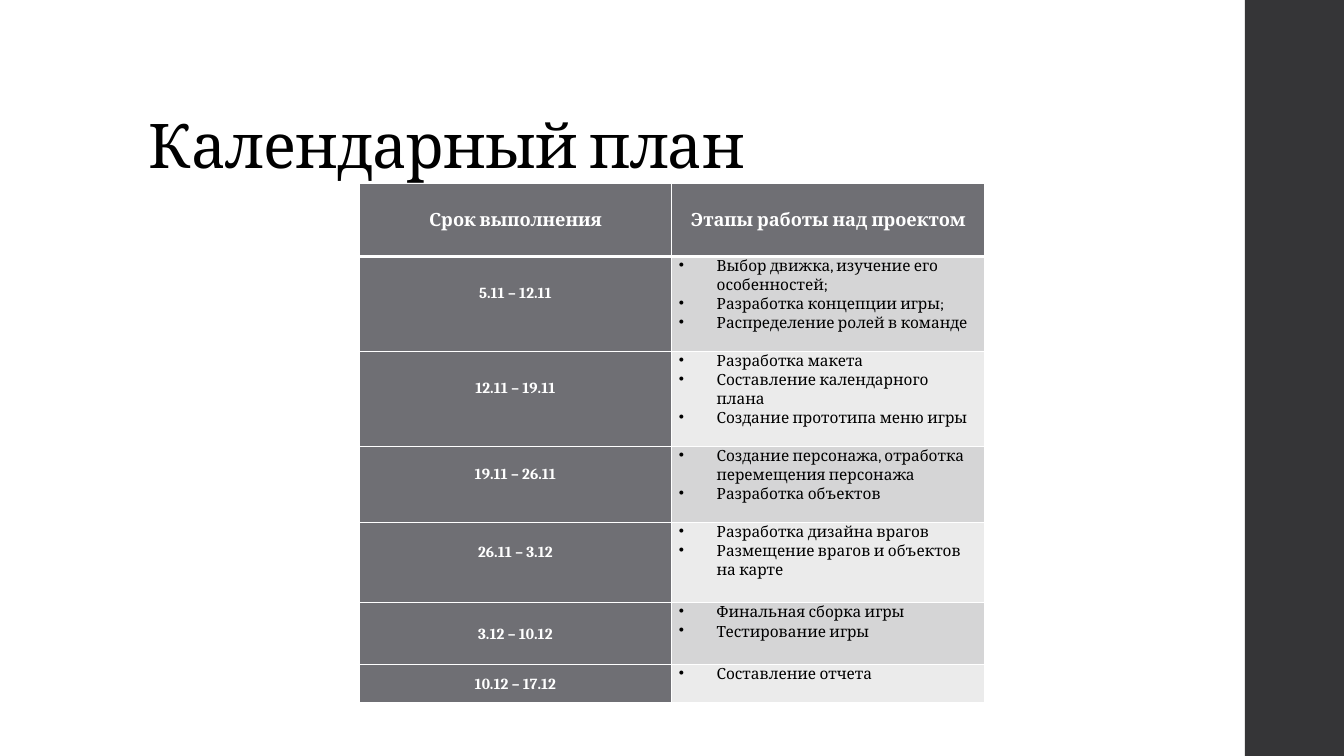
from lxml.etree import SubElement
from pptx import Presentation
from pptx.dml.color import RGBColor
from pptx.enum.shapes import MSO_SHAPE
from pptx.enum.text import MSO_ANCHOR, PP_ALIGN
from pptx.oxml import parse_xml
from pptx.oxml.ns import nsdecls, qn
from pptx.util import Cm, Pt

COLORS = {
    "white": "FFFFFF",
    "black": "000000",
    "sidebar": "353537",
    "header": "6F6F74",
    "odd": "D5D5D6",
    "even": "EBEBEB",
}

HEADINGS = ("Срок выполнения", "Этапы работы над проектом")

STAGES = [
    ("5.11 – 12.11", 2.39, 0.56, [
        "Выбор движка, изучение его особенностей;",
        "Разработка концепции игры;",
        "Распределение ролей в команде",
    ]),
    ("12.11 – 19.11", 2.4, 0.56, [
        "Разработка макета",
        "Составление календарного плана",
        "Создание прототипа меню игры",
    ]),
    ("19.11 – 26.11", 1.92, 0.56, [
        "Создание персонажа, отработка перемещения персонажа",
        "Разработка объектов",
    ]),
    ("26.11 – 3.12", 2.02, 0.56, [
        "Разработка дизайна врагов",
        "Размещение врагов и объектов на карте",
    ]),
    ("3.12 – 10.12", 1.56, 0, ["Финальная сборка игры", "Тестирование игры"]),
    ("10.12 – 17.12", 0.95, 0, ["Составление отчета"]),
]


class SlideBuilder:
    """Holds the style and the current slide, and draws its elements."""

    font = "Cambria"

    def __init__(self, prs):
        self.s = prs.slides.add_slide(prs.slide_layouts[5])

    def color(self, name):
        return RGBColor.from_string(COLORS[name])

    def style(self, obj, values):
        for name, value in values.items():
            setattr(obj, name, value)

    def add_text(self, p, text, size, color, bold=False):
        r = p.add_run()
        r.text = text
        self.style(r.font, {"name": self.font, "size": Pt(size), "bold": bold})
        r.font.color.rgb = self.color(color)
        return r

    def sidebar(self, left, width, height):
        sp = self.s.shapes.add_shape(
            MSO_SHAPE.RECTANGLE, Cm(left), 0, Cm(width), Cm(height))
        sp.shadow.inherit = False
        sp.fill.solid()
        sp.fill.fore_color.rgb = self.color("sidebar")
        sp.line.fill.background()

    def title(self, text, left, top, width, height):
        sp = self.s.shapes.title
        self.style(sp, {"left": Cm(left), "top": Cm(top),
                        "width": Cm(width), "height": Cm(height)})
        tf = sp.text_frame
        self.style(tf, {"vertical_anchor": MSO_ANCHOR.BOTTOM, "word_wrap": True})
        p = tf.paragraphs[0]
        self.style(p, {"alignment": PP_ALIGN.LEFT, "line_spacing": 0.9})
        r = self.add_text(p, text, 44, "black")
        r._r.get_or_add_rPr().set("spc", "-50")

    def borders(self, cell, bottom):
        tc_pr = cell._tc.get_or_add_tcPr()
        widths = {"lnL": 1, "lnR": 1, "lnT": 1, "lnB": bottom}
        for i, (tag, width) in enumerate(widths.items()):
            tc_pr.insert(i, parse_xml(
                f'<a:{tag} {nsdecls("a")} w="{Pt(width)}"><a:solidFill>'
                f'<a:srgbClr val="{COLORS["white"]}"/></a:solidFill></a:{tag}>'))

    def cell(self, cell, lines, fill, size=11, bullets=False, gap=0, bottom=1):
        self.style(cell, {
            "margin_left": Cm(0.18), "margin_right": Cm(0.18),
            "margin_top": 0, "margin_bottom": Cm(gap),
            "vertical_anchor": MSO_ANCHOR.TOP if bullets else MSO_ANCHOR.MIDDLE,
        })
        cell.fill.solid()
        cell.fill.fore_color.rgb = self.color(fill)
        self.borders(cell, bottom)
        tf = cell.text_frame
        for i, line in enumerate(lines):
            p = tf.add_paragraph() if i else tf.paragraphs[0]
            self.style(p, {
                "alignment": PP_ALIGN.LEFT if bullets else PP_ALIGN.CENTER,
                "line_spacing": 1.07,
            })
            if bullets:
                self.bullet(p)
            self.add_text(p, line, size, "black" if bullets else "white", not bullets)

    def bullet(self, p):
        p_pr = p._p.get_or_add_pPr()
        p_pr.set("marL", str(Cm(0.95)))
        p_pr.set("indent", str(-Cm(0.95)))
        SubElement(p_pr, qn("a:buChar")).set("char", "•")

    def schedule(self, left, top, width, header_height):
        heights = [header_height] + [stage[1] for stage in STAGES]
        table = self.s.shapes.add_table(
            len(heights), len(HEADINGS), Cm(left), Cm(top),
            Cm(width), Cm(sum(heights))).table
        for row, height in zip(table.rows, heights):
            row.height = Cm(height)
        for col, heading in enumerate(HEADINGS):
            self.cell(table.cell(0, col), [heading], "header", size=13, bottom=3)
        for row, (dates, _, gap, tasks) in enumerate(STAGES, 1):
            self.cell(table.cell(row, 0), [dates], "header", gap=gap)
            band = "odd" if row % 2 else "even"
            self.cell(table.cell(row, 1), tasks, band, bullets=True)


def main():
    prs = Presentation()
    prs.slide_width, prs.slide_height = Cm(33.87), Cm(19.05)
    slide = SlideBuilder(prs)
    slide.sidebar(31.37, 2.5, 19.05)
    slide.title("Календарный план", 3.5, 1.02, 26.92, 3.68)
    slide.schedule(9.05, 4.63, 15.76, 1.83)
    prs.save("out.pptx")


if __name__ == "__main__":
    main()
